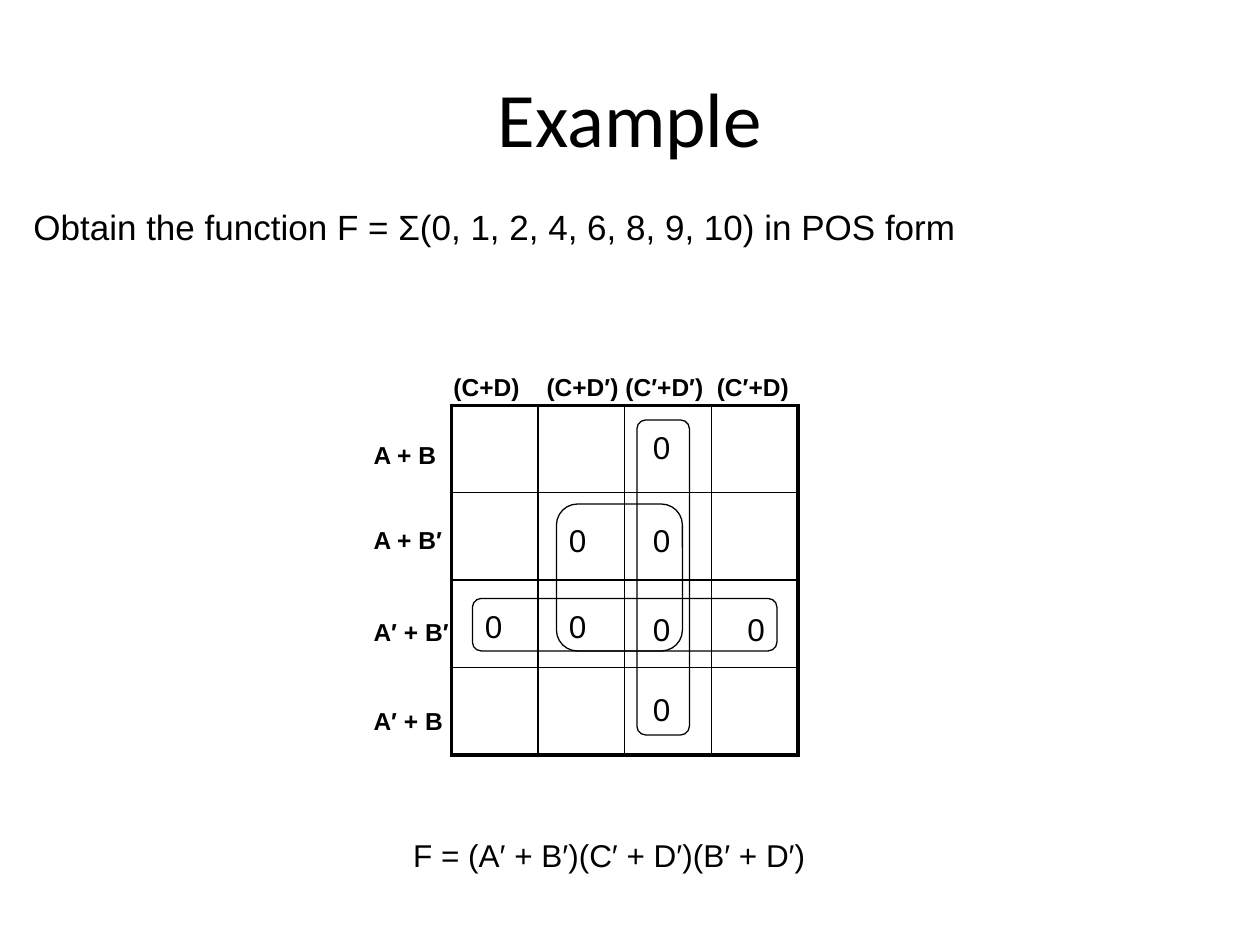
from lxml import etree
from pptx import Presentation
from pptx.dml.color import RGBColor
from pptx.enum import shapes, text
from pptx.oxml import ns
from pptx.util import Pt

BLACK = "000000"
CELL_SIZE = 50
THIN, THICK = 1, 2.25


def color(value):
    return RGBColor.from_string(value)


def add_text(page, left, top, width, height, lines, size, font="Arial",
             bold=False, align=text.PP_ALIGN.LEFT, wrap=False):
    """Add a text box; each line is a pair of wording and space before it."""
    box = page.shapes.add_textbox(Pt(left), Pt(top), Pt(width), Pt(height))
    frame = box.text_frame
    frame.word_wrap = wrap
    for index, (wording, gap) in enumerate(lines):
        para = frame.paragraphs[0] if index == 0 else frame.add_paragraph()
        para.alignment = align
        para.space_before = Pt(gap)
        span = para.add_run()
        span.text = wording
        span.font.size = Pt(size)
        span.font.name = font
        span.font.bold = bold
        span.font.color.rgb = color(BLACK)
    return box


def set_tabs(para, stops):
    tabs = etree.SubElement(para._p.get_or_add_pPr(), ns.qn("a:tabLst"))
    for stop in stops:
        etree.SubElement(tabs, ns.qn("a:tab"), pos=str(Pt(stop)), algn="l")


def set_border(cell, side, width):
    line = etree.SubElement(cell._tc.get_or_add_tcPr(), ns.qn("a:ln" + side),
                            w=str(Pt(width)))
    fill = etree.SubElement(line, ns.qn("a:solidFill"))
    etree.SubElement(fill, ns.qn("a:srgbClr"), val=BLACK)


def add_map(page, left, top, count):
    """Add the empty square grid with a thick outer frame."""
    side = Pt(CELL_SIZE * count)
    table = page.shapes.add_table(count, count, Pt(left), Pt(top), side, side).table
    table.first_row = False
    table.horz_banding = False
    for index in range(count):
        table.columns[index].width = Pt(49.5)
        table.rows[index].height = Pt(CELL_SIZE)
    last = count - 1
    for row in range(count):
        for column in range(count):
            cell = table.cell(row, column)
            outer = {"L": column == 0, "R": column == last,
                     "T": row == 0, "B": row == last}
            for edge, is_outer in outer.items():
                set_border(cell, edge, THICK if is_outer else THIN)
            cell.fill.background()


def add_group(page, left, top, width, height):
    """Add the rounded outline round a group of zeros."""
    outline = page.shapes.add_shape(shapes.MSO_SHAPE.ROUNDED_RECTANGLE,
                                    Pt(left), Pt(top), Pt(width), Pt(height))
    outline.shadow.inherit = False
    outline.adjustments[0] = 0.167
    outline.fill.background()
    outline.line.color.rgb = color(BLACK)
    outline.line.width = Pt(0.75)


def main():
    deck = Presentation()
    deck.slide_width, deck.slide_height = Pt(720), Pt(540)
    page = deck.slides.add_slide(deck.slide_layouts[6])

    title = add_text(page, 36, 21.6, 648, 90, [("Example", 0)], 44, "Calibri",
                     align=text.PP_ALIGN.CENTER, wrap=True)
    title.text_frame.vertical_anchor = text.MSO_ANCHOR.MIDDLE

    add_map(page, 258, 231.6, 4)
    add_text(page, 12, 114, 544, 31.5,
             [("Obtain the function F = Σ(0, 1, 2, 4, 6, 8, 9, 10) in POS form", 0)], 20)

    row_labels = [("A + B", 0), ("A + B′", 32), ("A′ + B′", 35.5), ("A′ + B", 34.5)]
    add_text(page, 206.4, 247.7, 57.6, 173.5, row_labels, 14, bold=True)
    header = add_text(page, 252, 209, 209.5, 24,
                      [("(C+D)\t(C+D′)\t(C′+D′)\t(C′+D)", 0)], 14, bold=True, wrap=True)
    set_tabs(header.text_frame.paragraphs[0], (53.2, 98.3, 150.5))

    zeros = [(318, 294), (366, 294), (366, 391), (270, 343.5),
             (318, 343.5), (366, 345), (420, 345), (366, 241)]
    for left, top in zeros:
        add_text(page, left, top, 24.5, 29, [("0", 0)], 18)

    groups = [(270, 342, 174, 30), (364, 240, 30, 180), (318, 288, 72, 84)]
    for group in groups:
        add_group(page, *group)

    add_text(page, 229, 474, 239, 29, [("F = (A′ + B′)(C′ + D′)(B′ + D′)", 0)], 18)
    deck.save("out.pptx")


if __name__ == "__main__":
    main()
